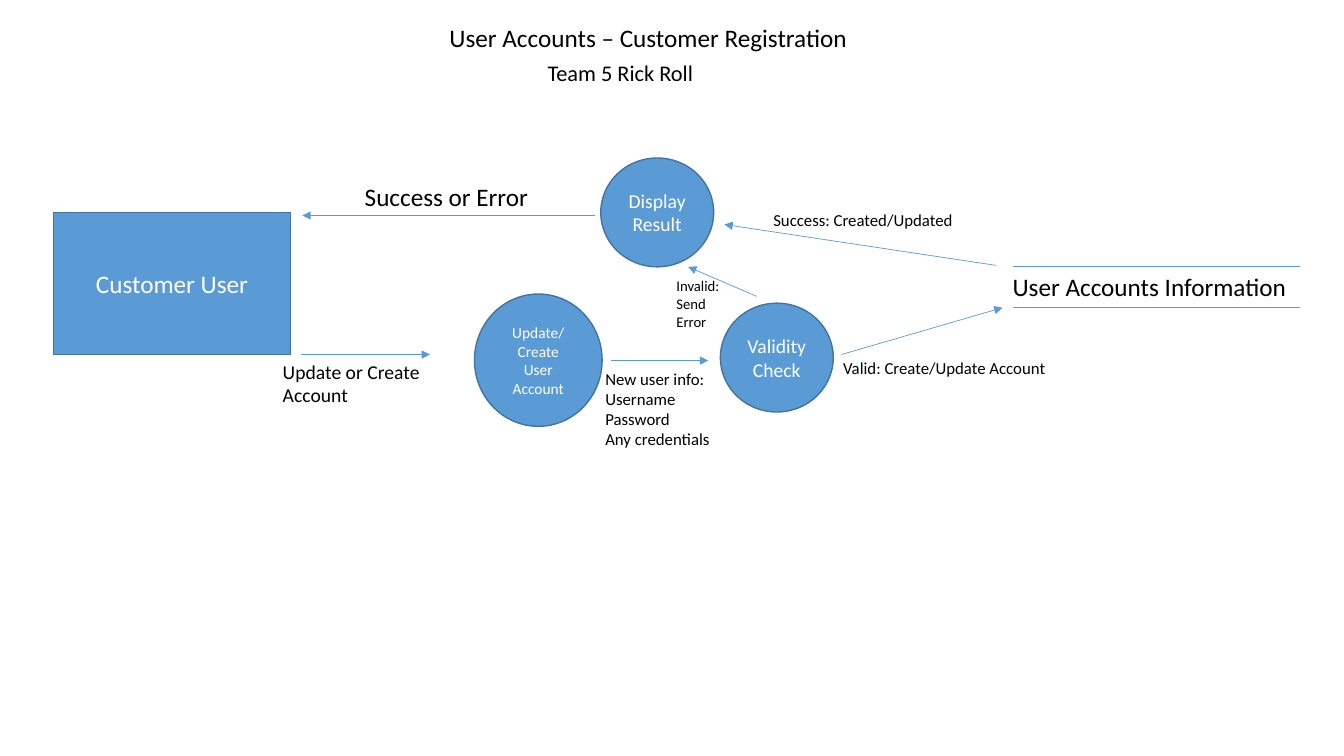
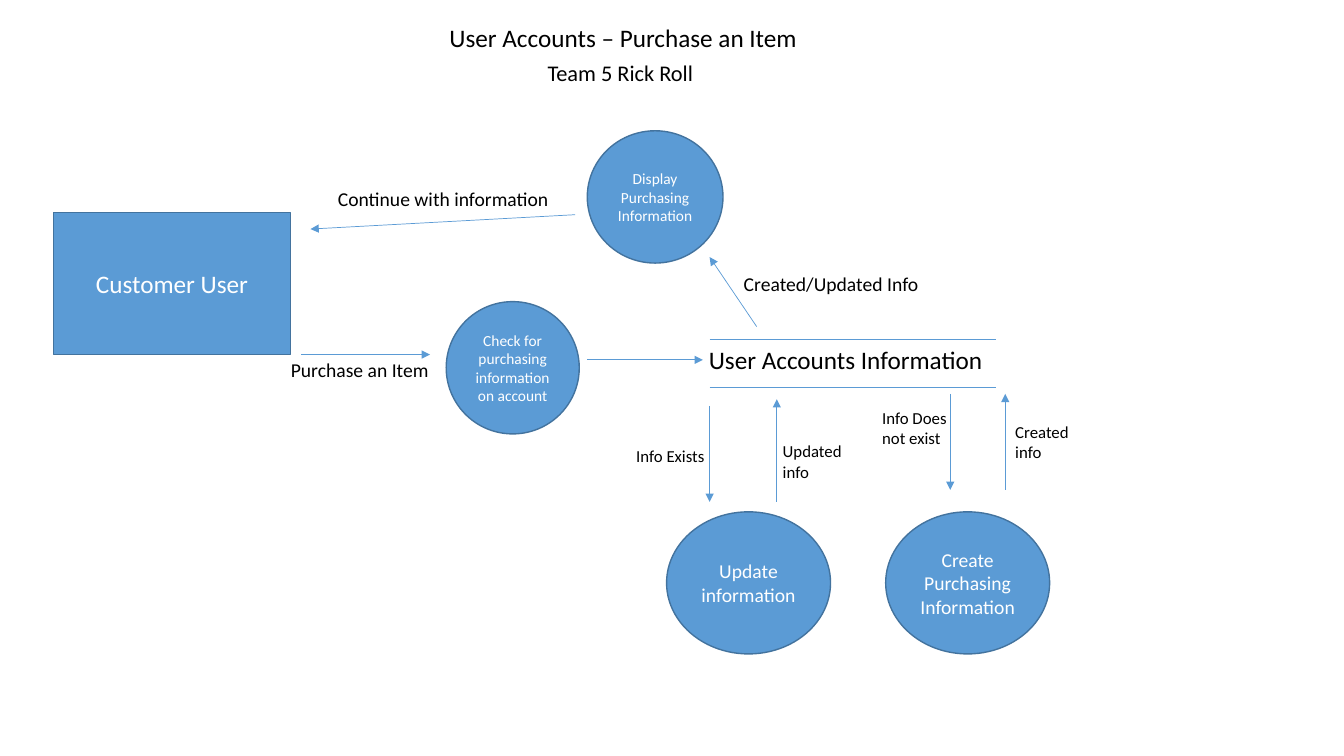
from lxml import etree
from pptx import Presentation, util as u
from pptx.dml.color import RGBColor
from pptx.enum import shapes, text
from pptx.oxml.ns import qn

COLORS = {"fill": "5B9BD5", "edge": "43739E", "flow": "5B9BD5",
          "light": "FFFFFF", "dark": "000000"}
FONT = "Calibri"
WIDTH, HEIGHT = u.Inches(13.333), u.Inches(7.5)


# Positions are percentages of the slide's width and height
def px(share):
    return round(WIDTH * share / 100)


def py(share):
    return round(HEIGHT * share / 100)


def color(name):
    return RGBColor.from_string(COLORS[name])


def write(sp, words, size, ink, align):
    tf = sp.text_frame
    tf.word_wrap = True
    tf.text = words
    for p in tf.paragraphs:
        p.alignment = align
        for r in p.runs:
            r.font.name = FONT
            r.font.size = u.Pt(size)
            r.font.color.rgb = color(ink)


def label(s, words, x, y, w, h, size):
    sp = s.shapes.add_textbox(px(x), py(y), px(w), py(h))
    write(sp, words, size, "dark", text.PP_ALIGN.LEFT)


def node(s, kind, words, x, y, w, h, size):
    sp = s.shapes.add_shape(kind, px(x), py(y), px(w), py(h))
    sp.shadow.inherit = False
    sp.fill.solid()
    sp.fill.fore_color.rgb = color("fill")
    sp.line.color.rgb = color("edge")
    sp.line.width = u.Pt(1)
    sp.text_frame.vertical_anchor = text.MSO_ANCHOR.MIDDLE
    write(sp, words, size, "light", text.PP_ALIGN.CENTER)


def process(s, *args):
    node(s, shapes.MSO_SHAPE.OVAL, *args)


def line(s, x1, y1, x2, y2):
    c = s.shapes.add_connector(shapes.MSO_CONNECTOR.STRAIGHT,
                               px(x1), py(y1), px(x2), py(y2))
    c.line.color.rgb = color("flow")
    c.line.width = u.Pt(0.5)
    etree.SubElement(c._element.spPr, qn("a:effectLst"))
    return c


def arrow(s, *ends):
    c = line(s, *ends)
    etree.SubElement(c.line._get_or_add_ln(), qn("a:tailEnd"), type="triangle")


def data_store(s, words, x, y, gap):
    """A name between two parallel rules."""
    label(s, words, x, y, 24.4, 5.3, 18)
    for rule_y in (y, y + gap):
        line(s, x + 0.8, rule_y, x + 22.1, rule_y)


def diagram(prs, title, store, processes, arrows, labels):
    s = prs.slides.add_slide(prs.slide_layouts[6])
    # Shared heading, customer and outgoing request
    label(s, title, 32.7, 2.3, 33.8, 5.3, 18)
    label(s, "Team 5 Rick Roll", 40, 7.1, 12.8, 4.9, 16)
    node(s, shapes.MSO_SHAPE.RECTANGLE, "Customer User", 4, 28.1, 17.6, 18.8, 18)
    arrow(s, 22.4, 46.9, 32, 46.9)
    # Parts of this flow
    data_store(s, "User Accounts Information", *store)
    for draw, items in ((process, processes), (arrow, arrows), (label, labels)):
        for item in items:
            draw(s, *item)


def registration(prs):
    diagram(
        prs, "User Accounts – Customer Registration", (74.6, 35.2, 5.5),
        processes=[
            ("Update/ Create User Account", 35.3, 38.9, 9.5, 17.5, 11),
            ("Validity Check", 53.6, 40.1, 8.4, 14.4, 14),
            ("Display Result", 44.7, 20.9, 8.4, 14.4, 14),
        ],
        arrows=[
            (44.3, 28.5, 22.5, 28.5),
            (45.5, 47.7, 52.7, 47.7),
            (62.6, 46.9, 74.6, 40.7),
            (56.3, 39.2, 51.2, 35.3),
            (74.1, 35.1, 53.9, 29.7),
        ],
        labels=[
            ("Update or Create\nAccount", 20.3, 46.9, 22.7, 7.6, 14),
            ("Success or Error", 26.4, 23.3, 26.7, 5.3, 18),
            ("New user info:\nUsername\nPassword\nAny credentials",
             44.3, 48.1, 22.7, 12.1, 12),
            ("Valid: Create/Update Account", 62, 46.7, 22.7, 4, 12),
            ("Invalid:\nSend Error", 49.6, 36, 5.7, 8.4, 10.5),
            ("Success: Created/Updated", 56.8, 27.1, 22.7, 4, 12),
        ])


def purchase(prs):
    diagram(
        prs, "User Accounts – Purchase an Item", (52, 44.9, 6.3),
        processes=[
            ("Check for purchasing information on account",
             33.2, 39.9, 9.9, 17.5, 11),
            ("Display Purchasing Information", 43.7, 17.3, 10.1, 17.5, 11),
            ("Update information", 49.6, 67.7, 12.2, 18.8, 14),
            ("Create Purchasing Information", 65.9, 67.7, 12.2, 18.8, 14),
        ],
        arrows=[
            (43.7, 47.6, 52.3, 47.6),
            (52.8, 53.7, 52.8, 66.4),
            (57.8, 66.4, 57.8, 52.8),
            (70.7, 52.1, 70.7, 64.8),
            (74.8, 64.8, 74.8, 52.1),
            (56.3, 43.2, 52.8, 34),
            (42.8, 28.4, 23.1, 30.3),
        ],
        labels=[
            ("Purchase an Item", 20.9, 46.7, 12, 4.5, 14),
            ("Info Exists", 46.6, 58.3, 6.7, 4, 12),
            ("Updated info", 57.5, 57.7, 6.7, 6.7, 12),
            ("Info Does not exist", 64.9, 53.3, 6.7, 6.7, 12),
            ("Created info", 74.8, 55.1, 6.7, 6.7, 12),
            ("Continue with information", 24.4, 24.1, 17.6, 4.5, 14),
            ("Created/Updated Info", 54.6, 35.3, 17.6, 4.5, 14),
        ])


def main():
    prs = Presentation()
    prs.slide_width, prs.slide_height = WIDTH, HEIGHT
    registration(prs)
    purchase(prs)
    prs.save("out.pptx")


if __name__ == "__main__":
    main()
